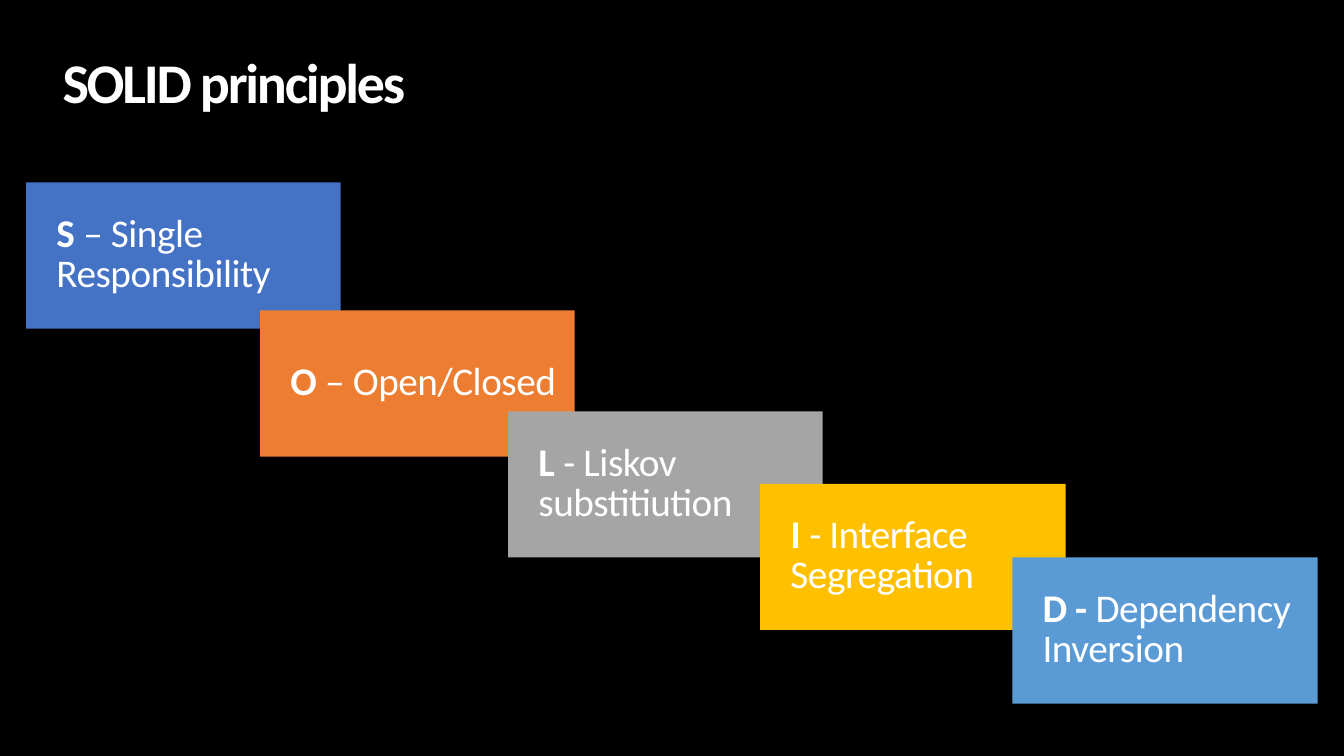
from dataclasses import dataclass

from pptx import Presentation
from pptx.dml.color import RGBColor
from pptx.enum.shapes import MSO_SHAPE
from pptx.enum.text import MSO_ANCHOR, MSO_AUTO_SIZE, PP_ALIGN
from pptx.slide import Slide
from pptx.text.text import TextFrame
from pptx.util import Emu, Pt

EMU_PER_PX = 9144
FONT = "Calibri"
WHITE = "FFFFFF"
BLACK = "000000"
CARD_HEIGHT = 145


@dataclass
class Span:
    text: str
    bold: bool


@dataclass
class Principle:
    initial: str
    name: str
    left: int
    top: int
    width: int
    fill: str
    padding: tuple[int, int, int, int] = (30, 5, 10, 5)


NARROW_PADDING = (30, 4, 8, 4)
PRINCIPLES = [
    Principle("S", " – Single Responsibility", 26, 181, 312, "4472C4"),
    Principle("O", " – Open/Closed", 258, 308, 312, "ED7D31"),
    Principle("L", " - Liskov substitiution", 504, 408, 312, "A5A5A5"),
    Principle("I", " - Interface Segregation", 754, 480, 303, "FFC000", NARROW_PADDING),
    Principle("D - ", "Dependency Inversion", 1004, 553, 303, "5B9BD5", NARROW_PADDING),
]


def px(length: int) -> Emu:
    return Emu(length * EMU_PER_PX)


def colour(value: str) -> RGBColor:
    return RGBColor.from_string(value)


def write_text(frame: TextFrame, spans: list[Span], size: int, spacing: int,
               anchor: MSO_ANCHOR, padding: tuple[int, int, int, int]) -> None:
    frame.word_wrap = True
    frame.auto_size = MSO_AUTO_SIZE.NONE
    frame.vertical_anchor = anchor
    (frame.margin_left, frame.margin_top,
     frame.margin_right, frame.margin_bottom) = map(px, padding)
    para = frame.paragraphs[0]
    para.alignment = PP_ALIGN.LEFT
    para.line_spacing = 0.85
    for span in spans:
        run = para.add_run()
        run.text = span.text
        run.font.name = FONT
        run.font.size = Pt(size)
        run.font.bold = span.bold
        run.font.color.rgb = colour(WHITE)
        run._r.get_or_add_rPr().set("spc", str(spacing))


def draw_title(page: Slide, text: str) -> None:
    title = page.shapes.title
    title.left, title.top, title.width, title.height = map(px, (52, 52, 992, 103))
    write_text(title.text_frame, [Span(text, True)], 40, -160,
               MSO_ANCHOR.TOP, (10, 5, 10, 5))


def draw_principle(page: Slide, principle: Principle) -> None:
    box = page.shapes.add_shape(
        MSO_SHAPE.RECTANGLE, px(principle.left), px(principle.top),
        px(principle.width), px(CARD_HEIGHT))
    box.shadow.inherit = False
    box.fill.solid()
    box.fill.fore_color.rgb = colour(principle.fill)
    box.line.fill.background()
    spans = [Span(principle.initial, True), Span(principle.name, False)]
    write_text(box.text_frame, spans, 28, -30, MSO_ANCHOR.MIDDLE, principle.padding)


def main() -> None:
    deck = Presentation()
    deck.slide_width, deck.slide_height = px(1333), px(750)
    page = deck.slides.add_slide(deck.slide_layouts.get_by_name("Title Only"))
    page.background.fill.solid()
    page.background.fill.fore_color.rgb = colour(BLACK)
    draw_title(page, "SOLID principles")
    for principle in PRINCIPLES:
        draw_principle(page, principle)
    deck.save("out.pptx")


if __name__ == "__main__":
    main()
